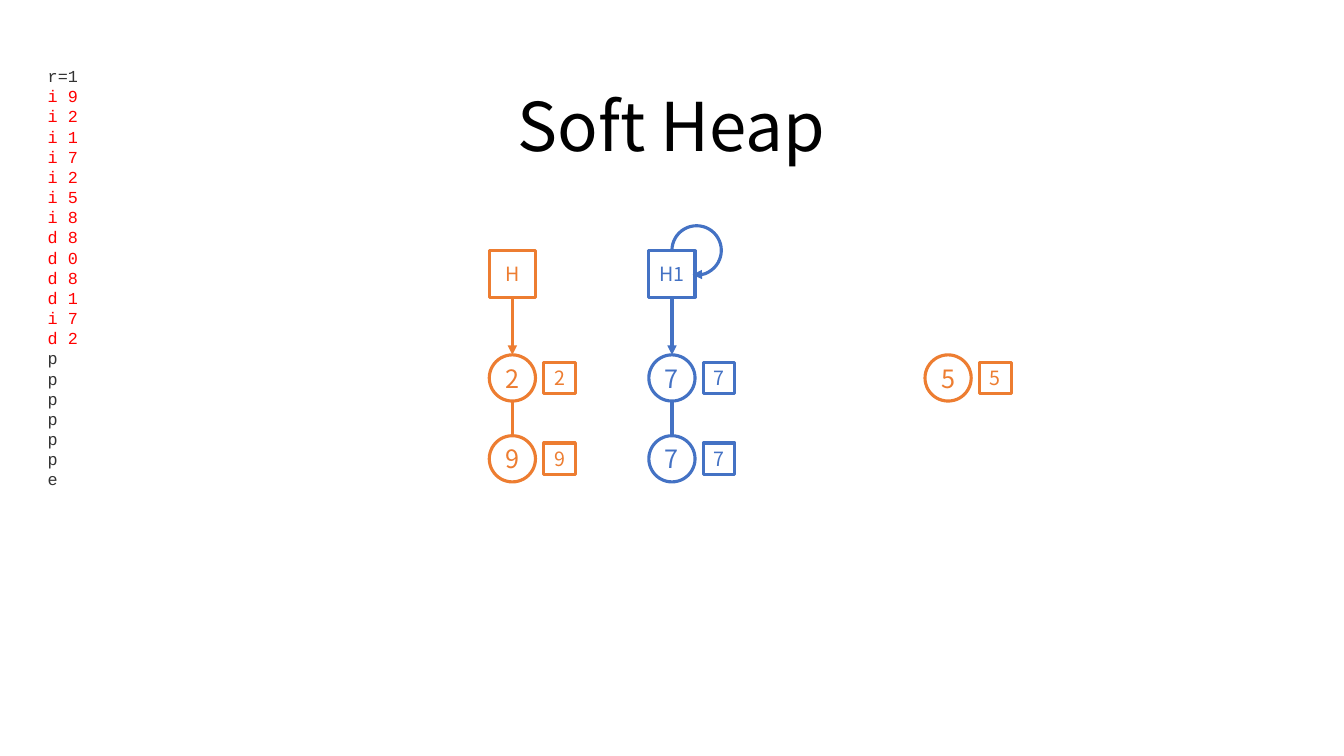
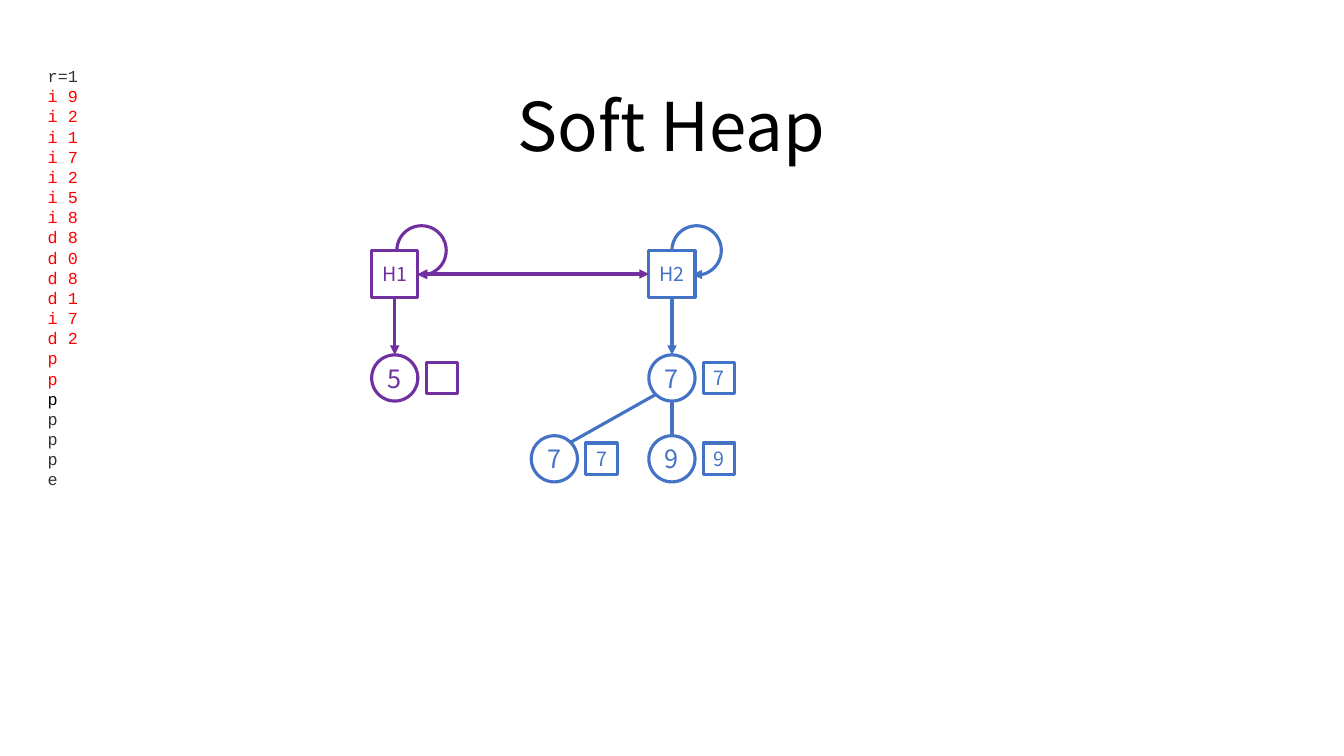
"""Build two slides that step through soft heap operations."""
import dataclasses

import pptx
import pptx.dml.color
import pptx.enum.shapes
import pptx.enum.text
import pptx.oxml
import pptx.oxml.ns
import pptx.util

SCALE = 9525
SHAPE = pptx.enum.shapes.MSO_SHAPE
ALIGN = pptx.enum.text.PP_ALIGN
ANCHOR = pptx.enum.text.MSO_ANCHOR
FIT = pptx.enum.text.MSO_AUTO_SIZE

COMMANDS = ["r=1", "i 9", "i 2", "i 1", "i 7", "i 2", "i 5", "i 8", "d 8", "d 0", "d 8",
            "d 1", "i 7", "d 2", "p", "p", "p", "p", "p", "p", "e"]
HEAD_Y, ROOT_Y, CHILD_Y = 261, 360, 437
LOOP_Y = 215
NODE, ITEM, LOOP = 44, 30, 47
ITEM_OFFSET = 45
RADIUS, DIAGONAL = 22, 16


@dataclasses.dataclass(frozen=True)
class Theme:
    """Colours, fonts, type sizes and line width of the deck."""
    black: str = "000000"
    grey: str = "333333"
    red: str = "FF0000"
    orange: str = "ED7D31"
    blue: str = "4472C4"
    purple: str = "7030A0"
    body_font: str = "Noto Sans CJK SC"
    code_font: str = "Courier New"
    title_size: int = 48
    node_size: int = 18
    label_size: int = 14
    code_size: int = 12
    line_width: float = 2.25


THEME = Theme()


def px(length):
    """Turn a length in px into EMU."""
    return pptx.util.Emu(length * SCALE)


def rgb(color):
    """Turn a hex string into a colour object."""
    return pptx.dml.color.RGBColor.from_string(color)


def write(para, text, *, size, color, font=THEME.body_font, align=ALIGN.CENTER, spacing=None):
    """Add one formatted span of text to a paragraph."""
    para.alignment = align
    para.line_spacing = spacing
    span = para.add_run()
    span.text = text
    span.font.size = pptx.util.Pt(size)
    span.font.name = font
    span.font.color.rgb = rgb(color)


class HeapDeck:
    """Hold the deck, its theme and the current page."""

    def __init__(self, theme):
        """Start an empty deck of 1280 by 720 px."""
        self.theme = theme
        self.deck = pptx.Presentation()
        self.deck.slide_width, self.deck.slide_height = px(1280), px(720)
        self.page = None

    def new_page(self, title, done, current=None):
        """Add a page with its title and the list of commands."""
        self.page = self.deck.slides.add_slide(self.deck.slide_layouts[5])
        box = self.page.shapes.title
        box.left, box.top, box.width, box.height = px(353), px(68), px(573), px(95)
        frame = box.text_frame
        frame.auto_size = FIT.NONE
        frame.vertical_anchor = ANCHOR.BOTTOM
        write(frame.paragraphs[0], title, size=self.theme.title_size,
              color=self.theme.black, spacing=0.9)
        self.command_list(done, current)

    def command_list(self, done, current):
        """List the commands, with the finished ones in red."""
        box = self.page.shapes.add_textbox(px(36), px(58), px(116), px(417))
        frame = box.text_frame
        frame.word_wrap = True
        frame.auto_size = FIT.SHAPE_TO_FIT_TEXT
        for index, command in enumerate(COMMANDS):
            para = frame.add_paragraph() if index else frame.paragraphs[0]
            color = self.theme.red if 1 <= index <= done else self.theme.grey
            if index == current:
                color = self.theme.black
            write(para, command, size=self.theme.code_size, color=color,
                  font=self.theme.code_font, align=ALIGN.LEFT)

    def style_line(self, line, color):
        """Give an outline its colour and width."""
        line.color.rgb = rgb(color)
        line.width = pptx.util.Pt(self.theme.line_width)

    def arrowhead(self, shape, end):
        """Put a triangle on headEnd or tailEnd of a line."""
        outline = shape.line._get_or_add_ln()
        head = pptx.oxml.parse_xml(f'<a:{end} {pptx.oxml.ns.nsdecls("a")} type="triangle"/>')
        outline.append(head)

    def outline(self, kind, left, top, size, color):
        """Draw an unfilled square-framed shape."""
        shape = self.page.shapes.add_shape(kind, px(left), px(top), px(size), px(size))
        shape.shadow.inherit = False
        shape.fill.background()
        self.style_line(shape.line, color)
        return shape

    def labelled(self, kind, x, y, size, text, text_size, color):
        """Draw a shape centred on a point with a label."""
        shape = self.outline(kind, x - size // 2, y - size // 2, size, color)
        if text:
            frame = shape.text_frame
            frame.word_wrap = False
            frame.vertical_anchor = ANCHOR.MIDDLE
            frame.margin_left = frame.margin_right = 0
            frame.margin_top = frame.margin_bottom = 0
            write(frame.paragraphs[0], text, size=text_size, color=color)
        return shape

    def head(self, x, text, color):
        """Draw the square head of a tree."""
        return self.labelled(SHAPE.RECTANGLE, x, HEAD_Y, NODE, text,
                             self.theme.label_size, color)

    def node(self, x, y, key, item, color):
        """Draw a round node and the item box beside it."""
        self.labelled(SHAPE.RECTANGLE, x + ITEM_OFFSET, y, ITEM, item,
                      self.theme.label_size, color)
        return self.labelled(SHAPE.OVAL, x, y, NODE, key, self.theme.node_size, color)

    def link(self, start, end, color, begin_at=None, end_at=None, heads=()):
        """Draw a straight line, joined to the given (shape, site) pairs."""
        line = self.page.shapes.add_connector(
            pptx.enum.shapes.MSO_CONNECTOR.STRAIGHT, *map(px, start + end))
        if begin_at:
            line.begin_connect(*begin_at)
        if end_at:
            line.end_connect(*end_at)
        self.style_line(line.line, color)
        for name in heads:
            self.arrowhead(line, name)
        line._element.spPr.append(
            pptx.oxml.parse_xml(f'<a:effectLst {pptx.oxml.ns.nsdecls("a")}/>'))

    def tree(self, x, name, root, color, child=None):
        """Draw a head, its root and an optional child straight below."""
        head = self.head(x, name, color)
        top = self.node(x, ROOT_Y, *root, color)
        self.link((x, HEAD_Y + RADIUS), (x, ROOT_Y - RADIUS), color,
                  (head, 2), (top, 0), ("tailEnd",))
        if child:
            leaf = self.node(x, CHILD_Y, *child, color)
            self.link((x, ROOT_Y + RADIUS), (x, CHILD_Y - RADIUS), color, end_at=(leaf, 0))
        return head

    def side_child(self, parent_x, x, child, color):
        """Draw a child to the lower left of a root."""
        self.node(x, CHILD_Y, *child, color)
        self.link((parent_x - DIAGONAL, ROOT_Y + DIAGONAL),
                  (x + DIAGONAL, CHILD_Y - DIAGONAL), color)

    def loop(self, left, color):
        """Draw the arc from a head back to itself."""
        arc = self.outline(SHAPE.ARC, left, LOOP_Y, LOOP, color)
        arc.adjustments[0], arc.adjustments[1] = 107.31, 59.67
        self.arrowhead(arc, "tailEnd")


def main():
    """Build and save the deck."""
    heap = HeapDeck(THEME)
    blue_x, purple_x = 640, 376

    heap.new_page("Soft Heap", done=13)
    heap.node(903, ROOT_Y, "5", "5", THEME.orange)
    heap.tree(488, "H", ("2", "2"), THEME.orange, ("9", "9"))
    heap.tree(blue_x, "H1", ("7", "7"), THEME.blue, ("7", "7"))
    heap.loop(blue_x, THEME.blue)

    heap.new_page("Soft Heap", done=15, current=16)
    second = heap.tree(blue_x, "H2", ("7", "7"), THEME.blue, ("9", "9"))
    heap.side_child(blue_x, 528, ("7", "7"), THEME.blue)
    first = heap.tree(purple_x, "H1", ("5", ""), THEME.purple)
    heap.link((purple_x + RADIUS, HEAD_Y), (blue_x - RADIUS, HEAD_Y), THEME.purple,
              (first, 3), (second, 1), ("headEnd", "tailEnd"))
    heap.loop(purple_x + 2, THEME.purple)
    heap.loop(blue_x, THEME.blue)

    heap.deck.save("out.pptx")


if __name__ == "__main__":
    main()
